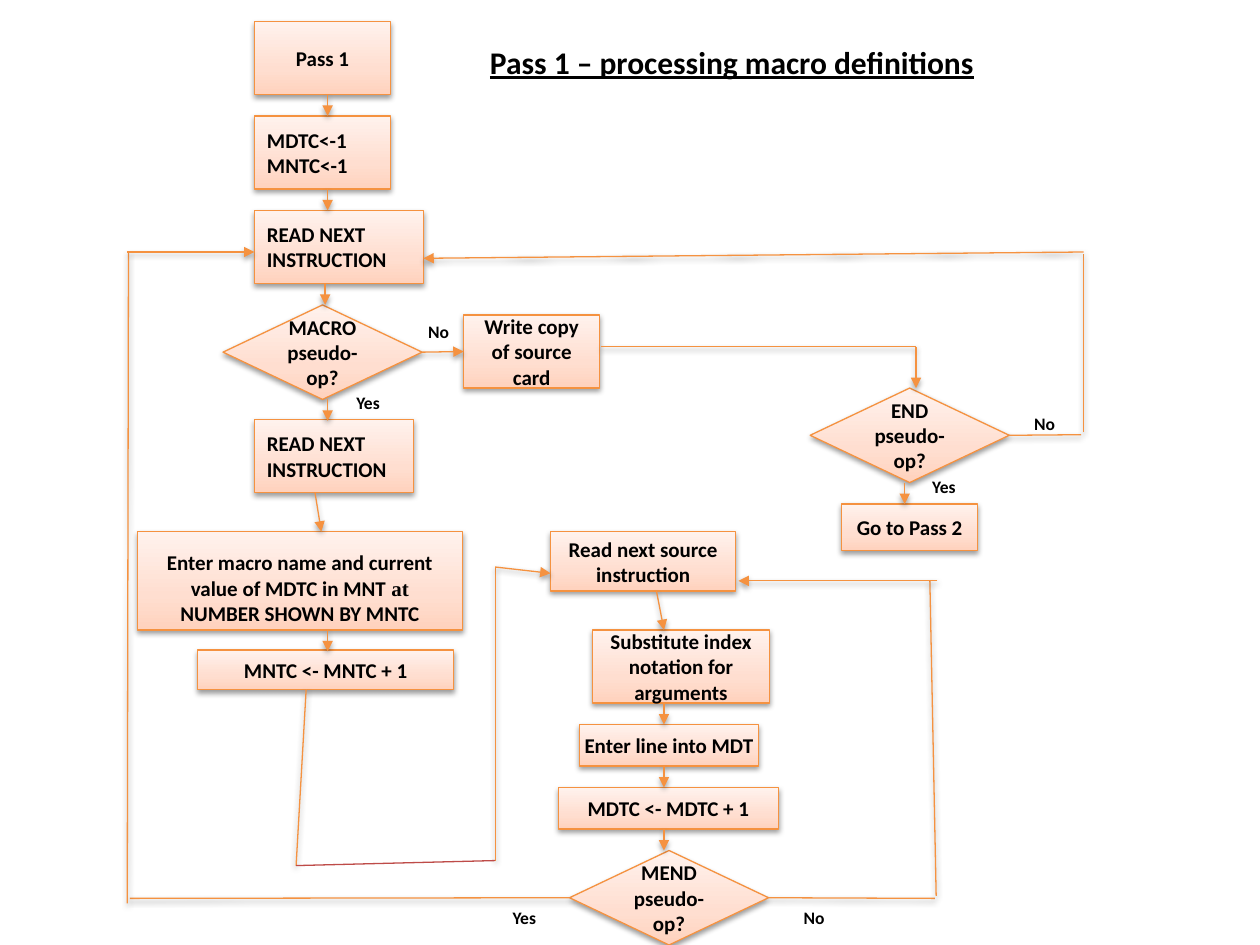
from copy import deepcopy
from dataclasses import dataclass
from itertools import cycle

from lxml.etree import SubElement
from pptx import Presentation
from pptx.dml.color import RGBColor
from pptx.enum.shapes import MSO_CONNECTOR, MSO_SHAPE as Kind
from pptx.enum.text import MSO_ANCHOR as Anchor, PP_ALIGN as Align
from pptx.oxml.ns import qn
from pptx.util import Emu, Pt

PX = 9144  # 100 px to the inch
SANS, SERIF = "Calibri", "Times New Roman"
BLACK, ORANGE, RED = "000000", "F59240", "BE4B48"
STOPS = ((0, "FFD2BD"), (0.35, "FFDED0"), (1, "FFF2ED"))
SIDES = {"top": 0, "left": 1, "bottom": 2, "right": 3}


@dataclass
class Step:
    name: str
    text: str  # "\n" parts paragraphs, "|" switches between sans and serif
    left: int
    top: int
    width: int
    height: int
    kind: int = Kind.FLOWCHART_PROCESS
    align: int = Align.CENTER
    wrap: bool = True
    inset_y: tuple = (5, 5)


@dataclass
class Arrow:
    start: tuple
    end: tuple
    head: bool = True
    color: str = ORANGE
    shadow: bool = True
    leaves: tuple = ()  # step name and side
    enters: tuple = ()


@dataclass
class Label:
    text: str
    left: int
    top: int
    width: int
    height: int = 26
    size: int = 10
    underline: bool = False


def decision(name: str, left: int, top: int) -> Step:
    return Step(name, f"{name} pseudo-op?", left, top, 158, 75, Kind.FLOWCHART_DECISION)


def down(x: int, top: int) -> Arrow:
    return Arrow((x, top), (x, top + 17))


def line(start: tuple, end: tuple, **extra) -> Arrow:
    return Arrow(start, end, head=False, **extra)


STEPS = [
    decision("MACRO", 177, 242),
    Step("start", "Pass 1", 202, 17, 108, 58),
    Step("init", "MDTC<-1\nMNTC<-1", 202, 92, 108, 58, align=Align.LEFT),
    Step("enter line", "Enter line into MDT", 460, 575, 142, 33, wrap=False),
    Step("substitute", "Substitute index notation for arguments", 470, 500, 141, 58),
    Step("pass 2", "Go to Pass 2", 668, 400, 108, 37),
    Step("write", "Write copy of source card", 368, 250, 108, 58),
    Step("read", "READ NEXT INSTRUCTION", 202, 167, 134, 58, align=Align.LEFT),
    Step("enter name", "Enter macro name and current value of MDTC in MNT| at |NUMBER SHOWN BY MNTC",
         109, 422, 258, 78, inset_y=(11, 0)),
    Step("read macro", "READ NEXT INSTRUCTION", 202, 333, 126, 58, align=Align.LEFT),
    Step("count names", "MNTC <- MNTC + 1", 157, 516, 203, 31),
    decision("END", 643, 308),
    decision("MEND", 452, 675),
    Step("read source", "Read next source instruction", 437, 422, 147, 47),
    Step("count lines", "MDTC <- MDTC + 1", 443, 625, 175, 33),
]

ARROWS = [
    # Short steps down
    *(down(260, top) for top in (75, 150, 317, 500)),
    *(down(527, top) for top in (558, 608, 658)),
    down(258, 225),
    down(718, 383),
    Arrow((250, 391), (255, 422)),
    Arrow((521, 469), (527, 500)),
    # Ordinary source card, on to END
    Arrow((335, 280), (368, 280), leaves=("MACRO", "right"), enters=("write", "left")),
    line((477, 275), (727, 275)),
    Arrow((727, 275), (727, 308)),
    # END: no, back to reading
    line((800, 345), (858, 345), leaves=("END", "right")),
    line((860, 343), (860, 202)),
    Arrow((860, 200), (336, 205)),
    # MEND: no, next source instruction
    line((608, 713), (742, 713), leaves=("MEND", "right")),
    line((743, 711), (738, 461)),
    Arrow((744, 461), (586, 461)),
    # MEND: yes, back to reading
    line((453, 713), (103, 713), leaves=("MEND", "left")),
    line((101, 717), (102, 200)),
    Arrow((101, 200), (202, 200)),
    # From the name table to the macro body
    line((243, 547), (235, 687)),
    line((393, 683), (393, 450)),
    Arrow((393, 450), (437, 455)),
    line((235, 687), (393, 683), color=RED, shadow=False),
]

LABELS = [
    *(Label("Yes", left, top, 46) for left, top in ((273, 306), (730, 373), (397, 715))),
    *(Label("No", left, top, 41) for left, top in ((330, 250), (628, 715), (811, 323))),
    Label("Pass 1 – processing macro definitions", 379, 29, 547, 40, 18, True),
]


def px(*lengths: int) -> list:
    return [Emu(length * PX) for length in lengths]


def rgb(color: str) -> RGBColor:
    return RGBColor.from_string(color)


def apply(target, formats: dict) -> None:
    for name, value in formats.items():
        setattr(target, name, value)


def write(box, text: str, size: int, align=Align.LEFT, underline=None,
          wrap=True, anchor=Anchor.TOP, inset_y=(5, 5)) -> None:
    frame = box.text_frame
    left, top, bottom = px(10, *inset_y)
    apply(frame, dict(word_wrap=wrap, vertical_anchor=anchor, margin_left=left,
                      margin_right=left, margin_top=top, margin_bottom=bottom))
    for index, words in enumerate(text.split("\n")):
        para = frame.add_paragraph() if index else frame.paragraphs[0]
        para.alignment = align
        for part, font in zip(words.split("|"), cycle((SANS, SERIF))):
            span = para.add_run()
            span.text = part
            apply(span.font, dict(name=font, size=Pt(size), bold=True, underline=underline))
            span.font.color.rgb = rgb(BLACK)


def style_line(item, color: str, shadow: bool = True) -> None:
    item.line.color.rgb = rgb(color)
    item.line.width = Pt(0.75)
    effects = SubElement(item._element.spPr, qn("a:effectLst"))
    if shadow:
        outer = SubElement(effects, qn("a:outerShdw"), blurRad="40000", dist="20000",
                           dir="5400000", rotWithShape="0")
        tint = SubElement(outer, qn("a:srgbClr"), val=BLACK)
        SubElement(tint, qn("a:alpha"), val="38000")


def draw_step(page, step: Step):
    box = page.shapes.add_shape(step.kind, *px(step.left, step.top, step.width, step.height))
    box.fill.gradient()
    box.fill.gradient_angle = 90
    stops = box._element.spPr.find(".//" + qn("a:gsLst"))
    stops.insert(1, deepcopy(stops[0]))
    for stop, (position, color) in zip(box.fill.gradient_stops, STOPS):
        stop.position = position
        stop.color.rgb = rgb(color)
    style_line(box, ORANGE)
    write(box, step.text, 12, step.align, wrap=step.wrap,
          anchor=Anchor.MIDDLE, inset_y=step.inset_y)
    return box


def draw_arrow(page, arrow: Arrow, boxes: dict) -> None:
    link = page.shapes.add_connector(MSO_CONNECTOR.STRAIGHT, *px(*arrow.start, *arrow.end))
    for joint, connect in ((arrow.leaves, link.begin_connect), (arrow.enters, link.end_connect)):
        if joint:
            name, side = joint
            connect(boxes[name], SIDES[side])
    style_line(link, arrow.color, arrow.shadow)
    if arrow.head:
        SubElement(link.line._get_or_add_ln(), qn("a:tailEnd"), type="triangle")


def draw_label(page, label: Label) -> None:
    box = page.shapes.add_textbox(*px(label.left, label.top, label.width, label.height))
    write(box, label.text, label.size, underline=label.underline)


def main() -> None:
    deck = Presentation()
    deck.slide_width, deck.slide_height = px(1000, 750)
    page = deck.slides.add_slide(deck.slide_layouts[6])
    boxes = {step.name: draw_step(page, step) for step in STEPS}
    for arrow in ARROWS:
        draw_arrow(page, arrow, boxes)
    for label in LABELS:
        draw_label(page, label)
    deck.save("out.pptx")


if __name__ == "__main__":
    main()
